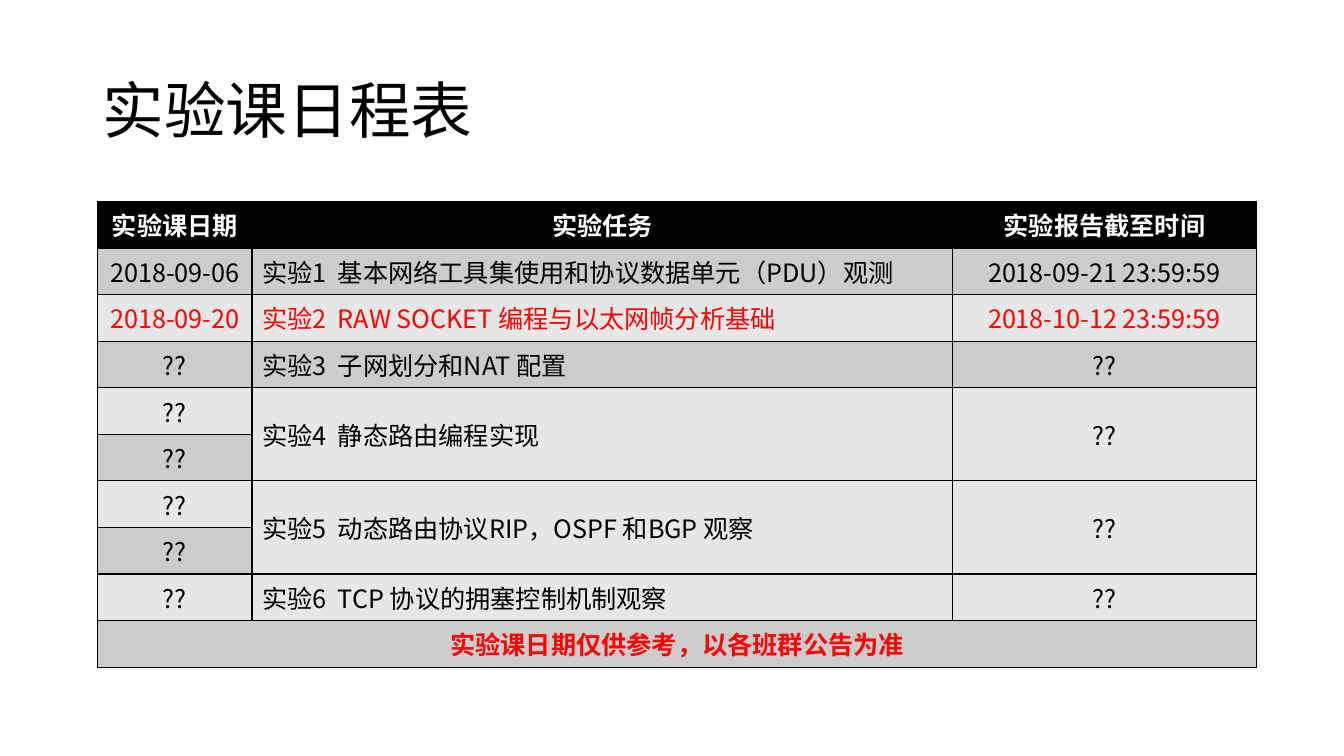
from dataclasses import dataclass

from lxml import etree
from pptx import Presentation
from pptx import util as u
from pptx.dml.color import RGBColor
from pptx.enum import text
from pptx.oxml.ns import qn


@dataclass(frozen=True)
class Theme:
    font: str = "Noto Sans CJK SC"
    title_size: int = 44
    body_size: int = 18
    black: str = "000000"
    white: str = "FFFFFF"
    red: str = "FF0000"
    bands: tuple = ("E7E7E7", "CCCCCC")


theme = Theme()


def write(tf, content, size, color, bold=False, align=text.PP_ALIGN.LEFT):
    """Put one formatted paragraph into a text frame and return it."""
    tf.text = content
    p = tf.paragraphs[0]
    p.alignment = align
    for r in p.runs:
        r.font.size = u.Pt(size)
        r.font.bold = bold
        r.font.color.rgb = RGBColor.from_string(color)
        r.font.name = theme.font
        etree.SubElement(r.font._element, qn("a:ea"), typeface=theme.font)
    return p


def paint(cell, fill):
    """Fill a table cell and draw a 1 pt border on its four sides."""
    cell.fill.solid()
    cell.fill.fore_color.rgb = RGBColor.from_string(fill)
    tc_pr = cell._tc.get_or_add_tcPr()
    for i, side in enumerate(("lnL", "lnR", "lnT", "lnB")):
        ln = etree.Element(qn(f"a:{side}"), w=str(u.Pt(1)))
        solid = etree.SubElement(ln, qn("a:solidFill"))
        etree.SubElement(solid, qn("a:srgbClr"), val=theme.black)
        tc_pr.insert(i, ln)


prs = Presentation()
prs.slide_width, prs.slide_height = u.Inches(13.33), u.Inches(7.5)
slide = prs.slides.add_slide(prs.slide_layouts[6])

# Title
title = slide.shapes.add_textbox(u.Inches(0.92), u.Inches(0.4), u.Inches(11.5), u.Inches(1.45))
tf = title.text_frame
tf.word_wrap = True
tf.vertical_anchor = text.MSO_ANCHOR.MIDDLE
write(tf, "实验课日程表", theme.title_size, theme.black).line_spacing = 0.9

# Schedule: None marks a cell covered by a merge
schedule = [
    ("实验课日期", "实验任务", "实验报告截至时间"),
    ("2018-09-06", "实验1  基本网络工具集使用和协议数据单元（PDU）观测", "2018-09-21 23:59:59"),
    ("2018-09-20", "实验2  RAW SOCKET 编程与以太网帧分析基础", "2018-10-12 23:59:59"),
    ("??", "实验3  子网划分和NAT 配置", "??"),
    ("??", "实验4  静态路由编程实现", "??"),
    ("??", None, None),
    ("??", "实验5  动态路由协议RIP，OSPF 和BGP 观察", "??"),
    ("??", None, None),
    ("??", "实验6  TCP 协议的拥塞控制机制观察", "??"),
    ("实验课日期仅供参考，以各班群公告为准", None, None),
]
col_widths = (1.53, 6.95, 3.01)
table_height = 4.62
header, current, notice = 0, 2, len(schedule) - 1

table = slide.shapes.add_table(
    len(schedule), len(col_widths), u.Inches(0.97), u.Inches(2),
    u.Inches(sum(col_widths)), u.Inches(table_height)).table
for col, width in zip(table.columns, col_widths):
    col.width = u.Inches(width)

for i, row in enumerate(schedule):
    table.rows[i].height = u.Inches(table_height / len(schedule))
    fill = theme.black if i == header else theme.bands[i % 2]
    color = {header: theme.white, current: theme.red, notice: theme.red}.get(i, theme.black)
    bold = i in (header, notice)
    for j, content in enumerate(row):
        cell = table.cell(i, j)
        paint(cell, fill)
        cell.vertical_anchor = text.MSO_ANCHOR.MIDDLE
        is_task = j == 1 and i != header
        align = text.PP_ALIGN.LEFT if is_task else text.PP_ALIGN.CENTER
        write(cell.text_frame, content or "", theme.body_size, color, bold, align)

# Experiments 4 and 5 take two sessions each; the notice spans the table
for i in (4, 6):
    for j in (1, 2):
        table.cell(i, j).merge(table.cell(i + 1, j))
table.cell(notice, 0).merge(table.cell(notice, 2))

prs.save("out.pptx")
